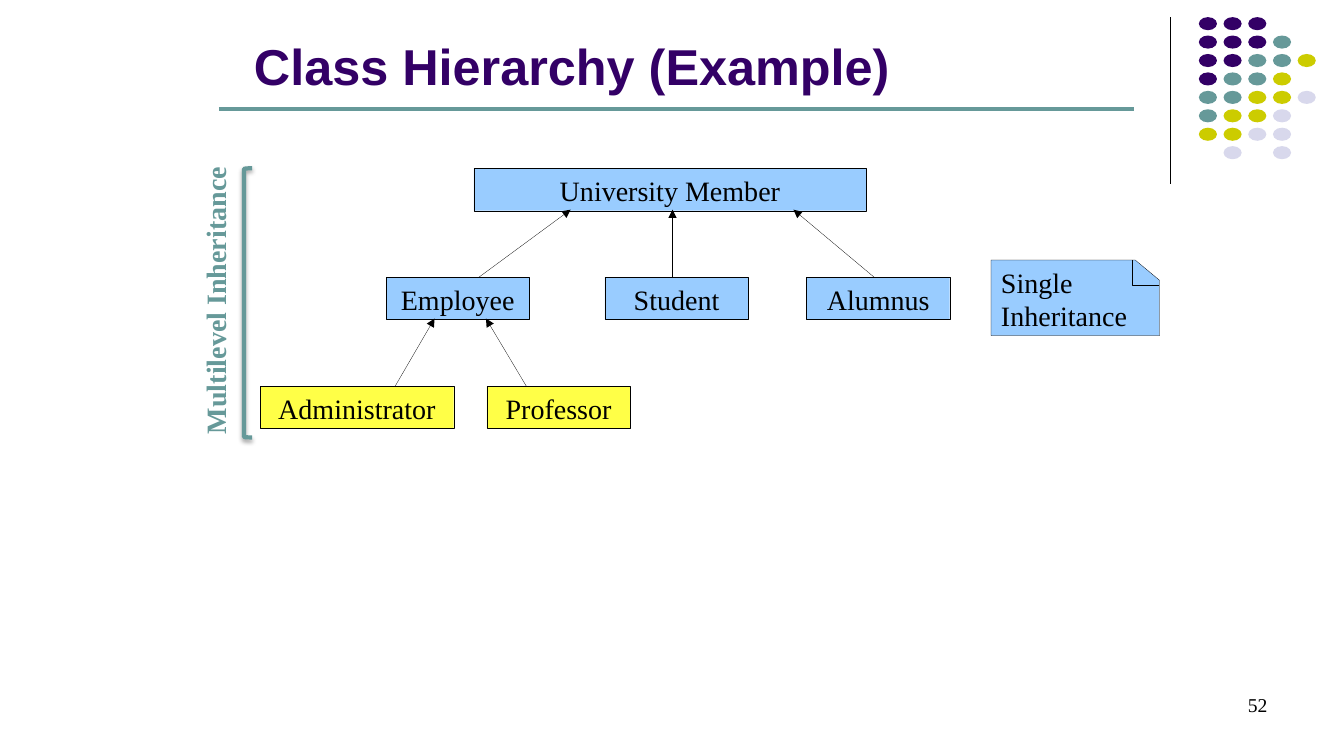
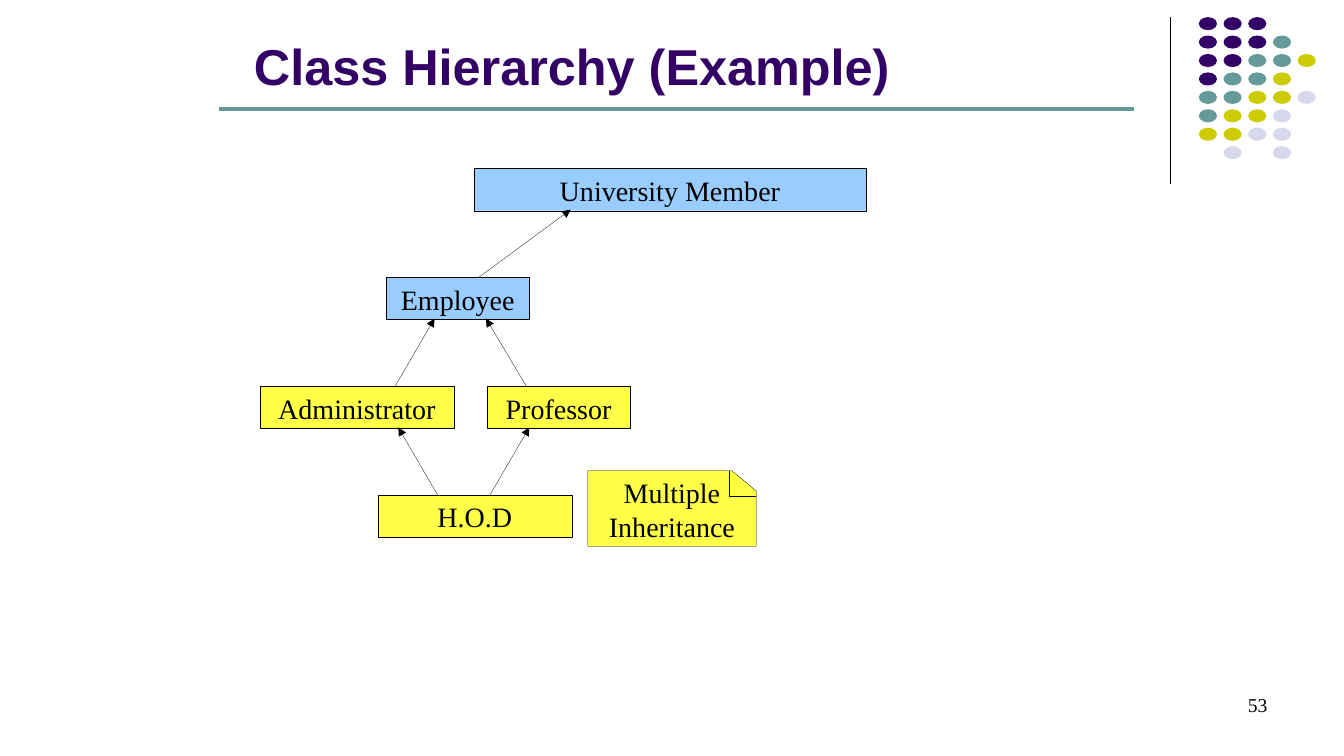
from dataclasses import dataclass

from lxml.etree import SubElement
from pptx import Presentation
from pptx.dml.color import RGBColor
from pptx.enum.shapes import MSO_CONNECTOR, MSO_SHAPE
from pptx.enum.text import MSO_ANCHOR, PP_ALIGN
from pptx.oxml.ns import qn
from pptx.util import Pt

PX = 9144
SLIDE_SIZE = (1333, 750)


@dataclass(frozen=True)
class Theme:
    ink: str = "000000"
    purple: str = "330066"
    teal: str = "669999"
    olive: str = "CCCC00"
    lavender: str = "D8D8EC"
    blue: str = "99CCFF"
    yellow: str = "FFFF47"
    heading: str = "Arial"
    body: str = "Times New Roman"
    title_size: int = 36
    body_size: int = 20
    number_size: int = 14
    hairline: float = 0.2
    divider: float = 0.75
    rule: float = 3


T = Theme()

TITLE = "Class Hierarchy (Example)"
DOT_ROWS = ("PPP", "PPPT", "PPTTY", "PTTY", "TTYYL", "TYYL", "YYLL", " L L")
DOT_COLORS = {"P": T.purple, "T": T.teal, "Y": T.olive, "L": T.lavender}
DOT_FIRST, DOT_LAST, DOT_SIZE = (1189, 17), (1287, 145), (18, 13)

ROW_TOP, ROW_PITCH, BOX_H = 167, 108, 42
CLASSES = {
    "University Member": (0, 470, 389, T.blue),
    "Employee": (1, 383, 142, T.blue),
    "Student": (1, 600, 142, T.blue),
    "Alumnus": (1, 800, 142, T.blue),
    "Administrator": (2, 258, 192, T.yellow),
    "Professor": (2, 483, 142, T.yellow),
    "H.O.D": (3, 375, 192, T.yellow),
}
ARROWS = {
    ("Employee", "University Member"): (475, 566),
    ("Student", "University Member"): (667, 667),
    ("Alumnus", "University Member"): (867, 787),
    ("Administrator", "Employee"): (392, 431),
    ("Professor", "Employee"): (522, 482),
    ("H.O.D", "Administrator"): (434, 395),
    ("H.O.D", "Professor"): (486, 525),
}
SLIDES = [
    {
        "number": "52",
        "classes": ["University Member", "Employee", "Student", "Alumnus",
                    "Administrator", "Professor"],
        "note": (["Single Inheritance"], 983, 258, T.blue, PP_ALIGN.LEFT),
        "bracket": "Multilevel Inheritance",
    },
    {
        "number": "53",
        "classes": ["University Member", "Employee", "Administrator",
                    "Professor", "H.O.D"],
        "note": (["Multiple", "Inheritance"], 583, 467, T.yellow, PP_ALIGN.CENTER),
    },
]


def px(*values):
    return [round(v * PX) for v in values]


def write(sp, lines, *, size=T.body_size, color=T.ink, font=T.body, bold=False,
          align=PP_ALIGN.LEFT, anchor=MSO_ANCHOR.TOP, wrap=True):
    tf = sp.text_frame
    tf.word_wrap = wrap
    tf.vertical_anchor = anchor
    for i, line in enumerate(lines):
        p = tf.add_paragraph() if i else tf.paragraphs[0]
        p.alignment = align
        r = p.add_run()
        r.text = line
        r.font.size, r.font.name, r.font.bold = Pt(size), font, bold
        r.font.color.rgb = RGBColor.from_string(color)


def add_label(slide, text, box, **fmt):
    sp = slide.shapes.add_textbox(*px(*box))
    write(sp, [text], **fmt)
    return sp


def paint(sp, fill=None, line=None, width=T.hairline):
    sp.shadow.inherit = False
    if fill:
        sp.fill.solid()
        sp.fill.fore_color.rgb = RGBColor.from_string(fill)
    else:
        sp.fill.background()
    if line:
        sp.line.color.rgb = RGBColor.from_string(line)
        sp.line.width = Pt(width)
    else:
        sp.line.fill.background()


def add_shape(slide, kind, box, **look):
    sp = slide.shapes.add_shape(kind, *px(*box))
    paint(sp, **look)
    return sp


def add_line(slide, start, end, color=T.ink, width=T.hairline, arrow=False):
    sp = slide.shapes.add_connector(MSO_CONNECTOR.STRAIGHT, *px(*start, *end))
    sp.line.color.rgb = RGBColor.from_string(color)
    sp.line.width = Pt(width)
    if arrow:
        SubElement(sp.line._get_or_add_ln(), qn("a:tailEnd"), type="triangle")
    SubElement(sp._element.spPr, qn("a:effectLst"))


def add_outline(slide, points, close, **look):
    builder = slide.shapes.build_freeform(*points[0], scale=PX)
    builder.add_line_segments(points[1:], close=close)
    sp = builder.convert_to_shape()
    paint(sp, **look)
    return sp


def add_frame(slide, number):
    add_line(slide, (1161, 17), (1161, 183), width=T.divider)
    step_x = (DOT_LAST[0] - DOT_FIRST[0]) / (max(map(len, DOT_ROWS)) - 1)
    step_y = (DOT_LAST[1] - DOT_FIRST[1]) / (len(DOT_ROWS) - 1)
    for row, codes in enumerate(DOT_ROWS):
        for col, code in enumerate(codes):
            if code in DOT_COLORS:
                at = (DOT_FIRST[0] + col * step_x, DOT_FIRST[1] + row * step_y)
                add_shape(slide, MSO_SHAPE.OVAL, at + DOT_SIZE, fill=DOT_COLORS[code])
    add_label(slide, TITLE, (242, 25, 850, 75), size=T.title_size, color=T.purple,
              font=T.heading, bold=True, anchor=MSO_ANCHOR.BOTTOM)
    add_line(slide, (217, 108), (1125, 108), T.teal, T.rule)
    add_label(slide, number, (956, 683, 311, 50), size=T.number_size,
              align=PP_ALIGN.RIGHT)


def row_y(name):
    return ROW_TOP + CLASSES[name][0] * ROW_PITCH


def add_hierarchy(slide, names):
    for name in names:
        _, x, w, fill = CLASSES[name]
        sp = add_shape(slide, MSO_SHAPE.RECTANGLE, (x, row_y(name), w, BOX_H),
                       fill=fill, line=T.ink)
        write(sp, [name], align=PP_ALIGN.CENTER)
    for (child, parent), (x1, x2) in ARROWS.items():
        if child in names and parent in names:
            add_line(slide, (x1, row_y(child)), (x2, row_y(parent) + BOX_H - 1),
                     arrow=True)


def add_note(slide, lines, x, y, fill, align):
    right, bottom = x + 167, y + 75
    body = [(right - 24, y), (right, y + 20), (right, bottom), (x, bottom), (x, y)]
    fold = [(right, y + 25), (right - 27, y + 25), (right - 27, y)]
    sp = add_outline(slide, body, True, fill=fill, line=T.ink)
    write(sp, lines, align=align)
    add_outline(slide, fold, False, line=T.ink)


def add_bracket(slide, text):
    sp = add_shape(slide, MSO_SHAPE.LEFT_BRACKET, (242, 167, 8, 267),
                   line=T.teal, width=T.rule)
    effects = sp._element.spPr.find(qn("a:effectLst"))
    shadow = SubElement(effects, qn("a:outerShdw"), blurRad=str(Pt(3.1)),
                        dist=str(Pt(1.8)), dir="5400000", rotWithShape="0")
    color = SubElement(shadow, qn("a:srgbClr"), val=T.ink)
    SubElement(color, qn("a:alpha"), val="35000")
    label = add_label(slide, text, (70, 275, 287, 44), color=T.teal, bold=True,
                      wrap=False)
    label.rotation = 270


def main():
    prs = Presentation()
    prs.slide_width, prs.slide_height = px(*SLIDE_SIZE)
    for content in SLIDES:
        slide = prs.slides.add_slide(prs.slide_layouts[6])
        add_frame(slide, content["number"])
        add_hierarchy(slide, content["classes"])
        add_note(slide, *content["note"])
        if "bracket" in content:
            add_bracket(slide, content["bracket"])
    prs.save("out.pptx")


if __name__ == "__main__":
    main()
